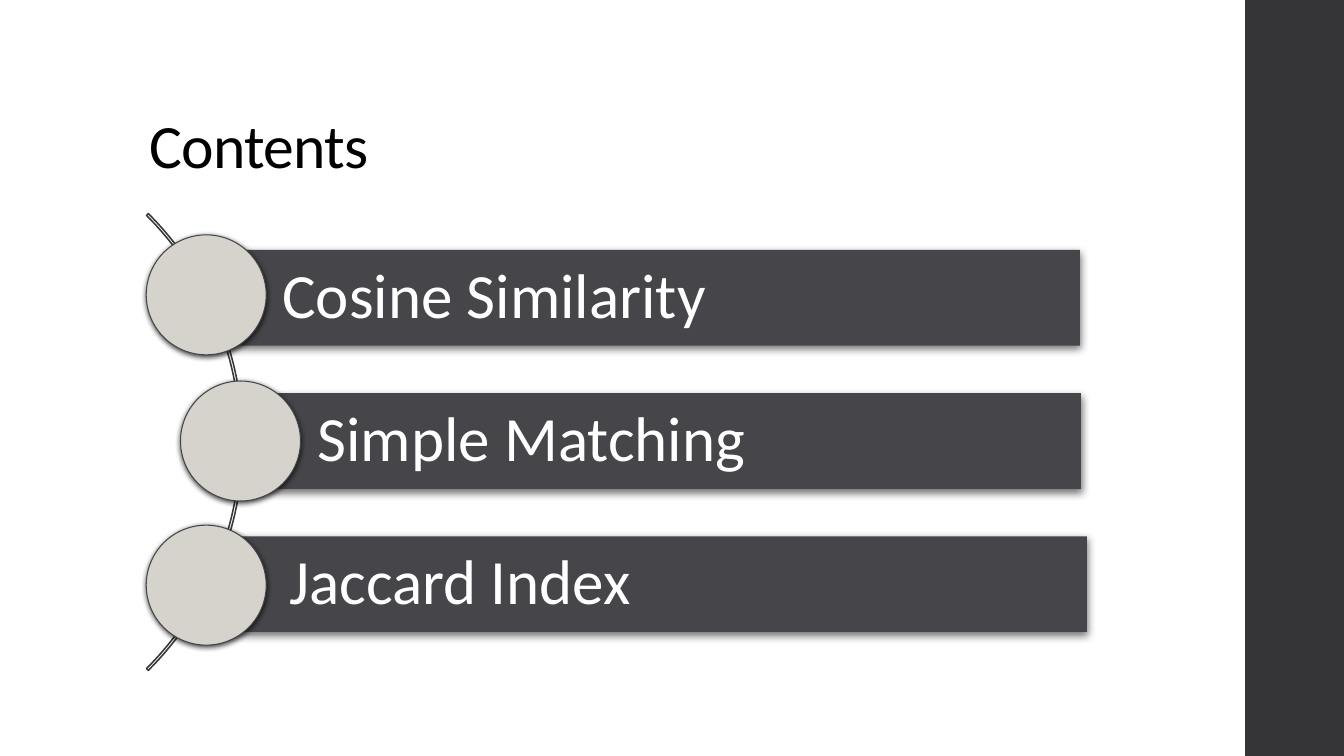
from pptx import Presentation
from pptx.dml.color import RGBColor
from pptx.enum.shapes import MSO_SHAPE
from pptx.enum.text import MSO_ANCHOR, MSO_AUTO_SIZE, PP_ALIGN
from pptx.oxml import parse_xml
from pptx.oxml.ns import nsdecls
from pptx.util import Inches, Pt

COLORS = {
    "band": "353537",
    "arc": "38383B",
    "bar": "46464A",
    "dot": "D6D3CC",
    "title": "000000",
    "label": "FFFFFF",
}
FONT = "Calibri"


def add_shape(kind, left, top, width, height, fill=None, line=None, weight=0.75, shadow=None):
    """Add a preset shape; shadow is (opacity in percent, blur, distance) in points."""
    shape = slide.shapes.add_shape(
        kind, Inches(left), Inches(top), Inches(width), Inches(height))
    shape.shadow.inherit = False
    if fill:
        shape.fill.solid()
        shape.fill.fore_color.rgb = RGBColor.from_string(COLORS[fill])
    else:
        shape.fill.background()
    if line:
        shape.line.color.rgb = RGBColor.from_string(COLORS[line])
        shape.line.width = Pt(weight)
    else:
        shape.line.fill.background()
    if shadow:
        alpha, blur, dist = shadow
        effects = shape._element.spPr.find("{*}effectLst")
        effects.append(parse_xml(
            f'<a:outerShdw {nsdecls("a")} blurRad="{Pt(blur)}" dist="{Pt(dist)}" '
            f'dir="5400000" algn="ctr" rotWithShape="0"><a:srgbClr val="000000">'
            f'<a:alpha val="{alpha * 1000}"/></a:srgbClr></a:outerShdw>'))
    return shape


def set_text(frame, text, size, color, anchor):
    frame.text = text
    frame.word_wrap = True
    frame.auto_size = MSO_AUTO_SIZE.NONE
    frame.vertical_anchor = anchor
    para = frame.paragraphs[0]
    para.alignment = PP_ALIGN.LEFT
    para.line_spacing = 0.9
    font = para.runs[0].font
    font.name = FONT
    font.size = Pt(size)
    font.color.rgb = RGBColor.from_string(COLORS[color])


prs = Presentation()
prs.slide_width = Inches(13.33)
prs.slide_height = Inches(7.5)
slide = prs.slides.add_slide(prs.slide_layouts[5])

# Side band and title
add_shape(MSO_SHAPE.RECTANGLE, 12.35, 0, 1, 7.5, fill="band")
title = slide.shapes.title
title.left, title.top = Inches(1.38), Inches(0.4)
title.width, title.height = Inches(10.6), Inches(1.45)
set_text(title.text_frame, "Contents", 44, "title", MSO_ANCHOR.BOTTOM)
title.text_frame.paragraphs[0].runs[0]._r.get_or_add_rPr().set("spc", "-50")

# Arc behind the list, from -45 to 45 degrees
arc = add_shape(MSO_SHAPE.BLOCK_ARC, -4, 1.18, 6.41, 6.41, line="arc", weight=1.1)
for index, value in enumerate((189, 27, 0.004)):
    arc.adjustments[index] = value

# Bars at an equal pitch, each with a dot on its left end
TOP, PITCH, HEIGHT, DOT = 2.48, 1.42, 0.95, 1.19
items = [
    ("Cosine Similarity", 2.04, 8.67, 1.45, 2.33),
    ("Simple Matching", 2.39, 8.33, 1.79, 3.78),
    ("Jaccard Index", 2.11, 8.67, 1.45, 5.21),
]
for row, (label, left, width, dot_left, dot_top) in enumerate(items):
    bar = add_shape(MSO_SHAPE.RECTANGLE, left, TOP + row * PITCH, width, HEIGHT,
                    fill="bar", shadow=(55, 6, 2))
    frame = bar.text_frame
    frame.margin_left = Inches(0.76)
    frame.margin_top = frame.margin_right = frame.margin_bottom = Inches(0.12)
    set_text(frame, label, 45, "label", MSO_ANCHOR.MIDDLE)
    add_shape(MSO_SHAPE.OVAL, dot_left, dot_top, DOT, DOT,
              fill="dot", line="bar", shadow=(75, 4, 1.2))

prs.save("out.pptx")
